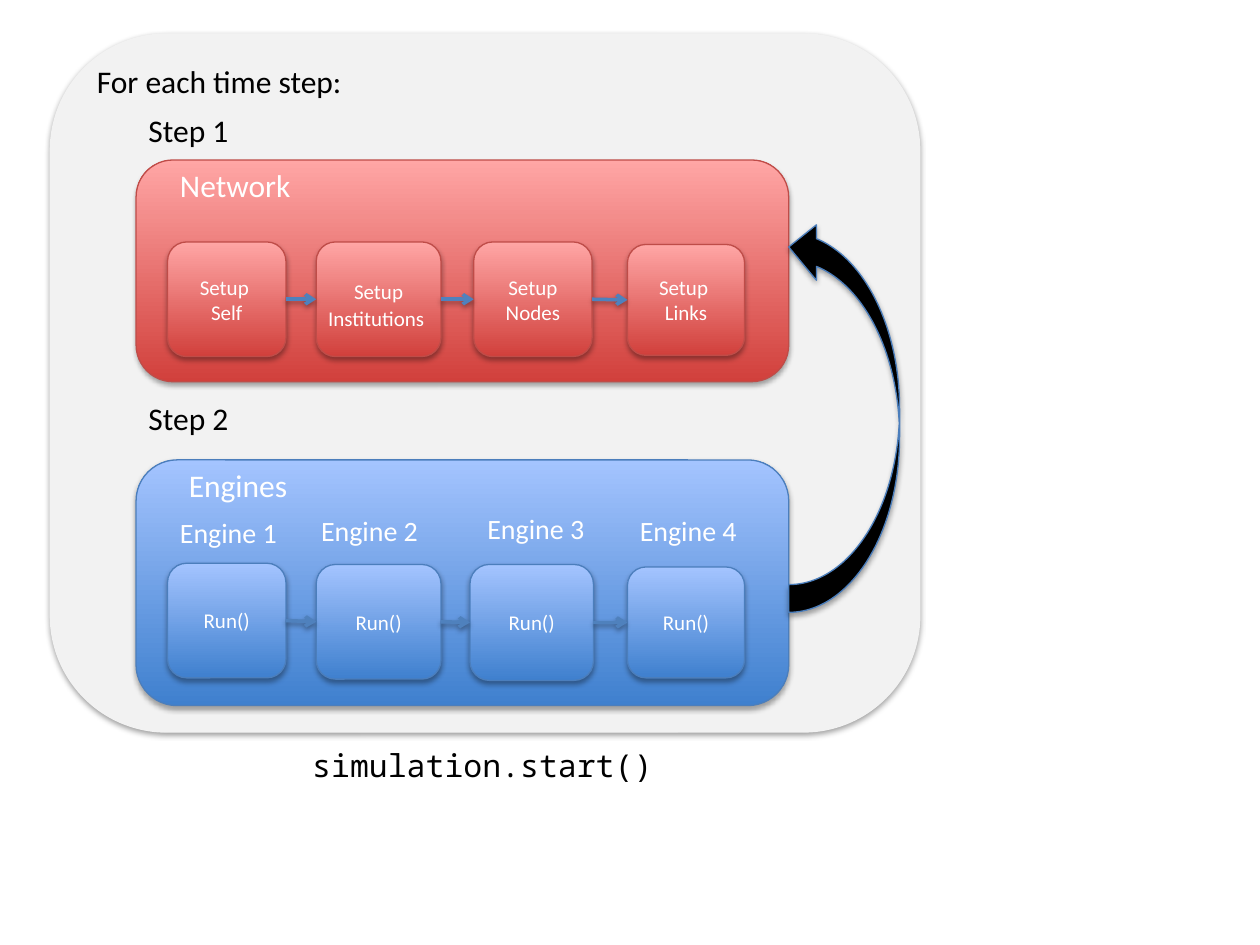
from lxml import etree
from pptx import Presentation
from pptx.dml.color import RGBColor
from pptx.enum.shapes import MSO_CONNECTOR, MSO_SHAPE
from pptx.enum.text import MSO_ANCHOR, PP_ALIGN
from pptx.oxml.ns import qn
from pptx.util import Inches, Pt

ROUNDED = MSO_SHAPE.ROUNDED_RECTANGLE
LOOP_ARROW = MSO_SHAPE.CURVED_LEFT_ARROW
STRAIGHT = MSO_CONNECTOR.STRAIGHT
MIDDLE = MSO_ANCHOR.MIDDLE
CENTER = PP_ALIGN.CENTER
LEFT_SIDE, RIGHT_SIDE = 1, 3
BODY_FONT, CODE_FONT = "Calibri", "Noto Sans Mono"

COLORS = {
    "frame": "F2F2F2",
    "red_dark": "D1403C", "red_light": "FFA6A5", "red_line": "BF4C48",
    "blue_dark": "3F80CE", "blue_light": "A4C4FF", "blue_line": "4B7EBC",
    "arrow": "4F81BD", "black": "000000", "white": "FFFFFF",
}


def rgb(name):
    return RGBColor.from_string(COLORS[name])


def add_shadow(shape, opacity=35, distance=1.8):
    """Soft shadow falling straight down."""
    effects = etree.SubElement(shape._element.spPr, qn("a:effectLst"))
    shadow = etree.SubElement(
        effects, qn("a:outerShdw"), blurRad=str(Pt(3.1)), dist=str(Pt(distance)),
        dir="5400000", rotWithShape="0")
    color = etree.SubElement(shadow, qn("a:srgbClr"), val=COLORS["black"])
    etree.SubElement(color, qn("a:alpha"), val=str(opacity * 1000))


def add_block(slide, box, line, fill=None, theme=None, kind=ROUNDED, shadow=(35, 1.8)):
    """Shape with a solid fill, or with a theme gradient that is dark at the bottom."""
    block = slide.shapes.add_shape(kind, *map(Inches, box))
    if theme:
        block.fill.gradient()
        block.fill.gradient_angle = 90
        for stop, shade in zip(block.fill.gradient_stops, ("dark", "light")):
            stop.color.rgb = rgb(f"{theme}_{shade}")
    else:
        block.fill.solid()
        block.fill.fore_color.rgb = rgb(fill)
    block.line.color.rgb = rgb(line)
    block.line.width = Pt(0.75)
    add_shadow(block, *shadow)
    return block


def style_run(run, size, color, font=BODY_FONT):
    run.font.size = Pt(size)
    run.font.name = font
    run.font.color.rgb = rgb(color)


def add_label(slide, box, text, size=18, color="black", font=BODY_FONT):
    frame = slide.shapes.add_textbox(*map(Inches, box)).text_frame
    frame.word_wrap = True
    frame.text = text
    style_run(frame.paragraphs[0].runs[0], size, color, font)


def add_task(slide, box, theme, lines):
    """Small box; each line is a list of (text, size) pieces."""
    task = add_block(slide, box, f"{theme}_line", theme=theme)
    frame = task.text_frame
    frame.vertical_anchor = MIDDLE
    frame.margin_left = frame.margin_right = Inches(0.04)
    for i, pieces in enumerate(lines):
        paragraph = frame.paragraphs[0] if i == 0 else frame.add_paragraph()
        paragraph.alignment = CENTER
        for text, size in pieces:
            run = paragraph.add_run()
            run.text = text
            style_run(run, size, "white")
    return task


def add_task_arrow(slide, before, after):
    arrow = slide.shapes.add_connector(STRAIGHT, 0, 0, 0, 0)
    arrow.begin_connect(before, RIGHT_SIDE)
    arrow.end_connect(after, LEFT_SIDE)
    arrow.line.color.rgb = rgb("arrow")
    arrow.line.width = Pt(2)
    etree.SubElement(arrow.line._get_or_add_ln(), qn("a:tailEnd"), type="arrow")
    add_shadow(arrow, 38, 1.6)


def add_panel(slide, box, theme, heading, heading_x, tasks, captions=()):
    """Gradient panel with a heading and a chain of tasks, offset from its corner."""
    left, top = box[:2]

    def inside(x, y, width, height):
        return left + x, top + y, width, height

    add_block(slide, box, f"{theme}_line", theme=theme)
    add_label(slide, inside(heading_x, 0, 2.89, 0.39), heading, color="white")
    chain = [add_task(slide, inside(*spot), theme, lines) for spot, lines in tasks]
    for before, after in zip(chain, chain[1:]):
        add_task_arrow(slide, before, after)
    for number, (x, y) in enumerate(captions, 1):
        add_label(slide, inside(x, y, 1.19, 0.37), f"Engine {number}", 16, "white")


def add_loop_arrow(slide, box):
    loop = add_block(slide, box, "blue_line", fill="black", kind=LOOP_ARROW)
    loop._element.spPr.find(qn("a:xfrm")).set("flipV", "1")


def add_time_step(slide, box):
    """Outer frame with both steps and the arrow that loops back."""
    left, top, width, height = box
    add_block(slide, box, "frame", fill="frame", shadow=(38, 1.6))
    add_label(slide, (left + 0.27, top + 0.17, 3.02, 0.39), "For each time step:")
    for step, y in (("Step 1", 0.56), ("Step 2", 2.85)):
        add_label(slide, (left + 0.68, top + y, 1.48, 0.39), step)

    setup_tasks = [
        ((0.25, 0.65, 0.94, 0.91), [[("Setup ", 12)], [("Self", 12)]]),
        ((1.43, 0.65, 0.99, 0.91), [[("Setup", 12), (" ", 18), ("Institutions ", 12)]]),
        ((2.68, 0.65, 0.94, 0.91), [[("Setup Nodes", 12)]]),
        ((3.9, 0.67, 0.93, 0.88), [[("Setup ", 12)], [("Links", 12)]]),
    ]
    add_panel(slide, (left + 0.68, top + 1, 5.18, 1.76), "red", "Network", 0.25,
              setup_tasks)

    run_spots = [(0.25, 0.82, 0.94, 0.91), (1.43, 0.83, 0.99, 0.91),
                 (2.65, 0.83, 0.98, 0.92), (3.9, 0.85, 0.93, 0.88)]
    add_panel(slide, (left + 0.68, top + 3.38, 5.18, 1.95), "blue", "Engines", 0.32,
              [(spot, [[("Run()", 12)]]) for spot in run_spots],
              captions=[(0.25, 0.39), (1.37, 0.38), (2.69, 0.36), (3.9, 0.38)])

    add_loop_arrow(slide, (left + 5.86, top + 1.47, 0.88, 3.12))
    # Call that starts the loop, under the frame
    add_label(slide, (left + 1.98, top + height + 0.06, 4.27, 0.53),
              "simulation.start()", font=CODE_FONT)


def main():
    prs = Presentation()
    prs.slide_width, prs.slide_height = Inches(10), Inches(7.5)
    slide = prs.slides.add_slide(prs.slide_layouts[6])
    add_time_step(slide, (0.4, 0.27, 6.9, 5.54))
    prs.save("out.pptx")


if __name__ == "__main__":
    main()
